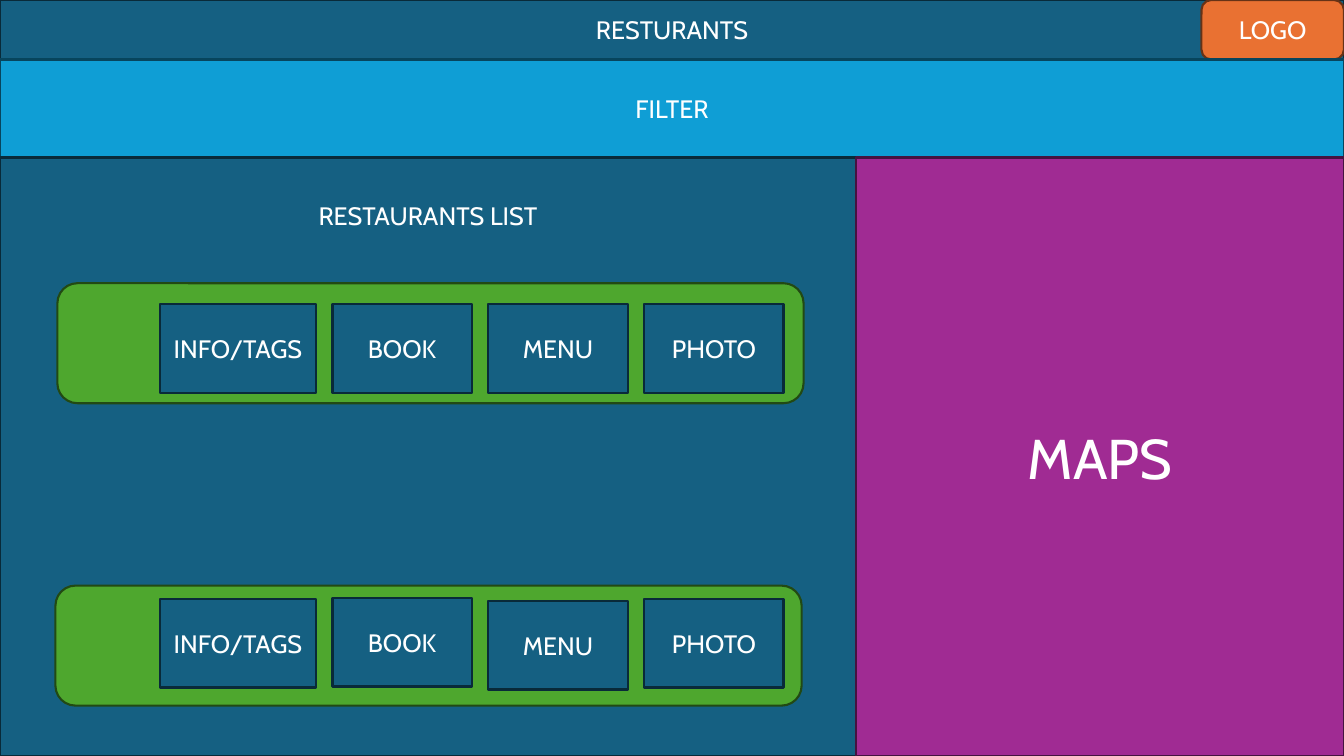
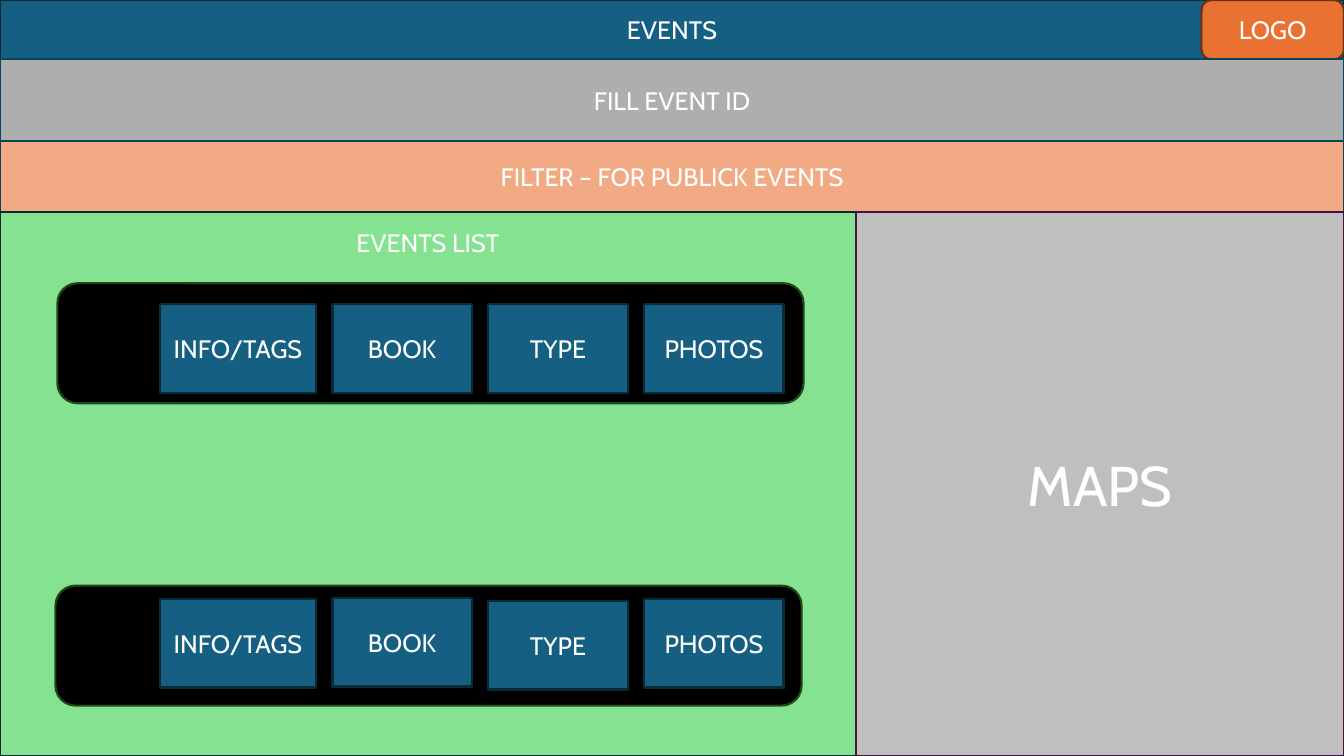
from dataclasses import dataclass

from pptx import Presentation
from pptx.dml.color import RGBColor
from pptx.enum.shapes import MSO_SHAPE as Shape
from pptx.enum.text import MSO_ANCHOR as Anchor, PP_ALIGN as Align
from pptx.util import Pt


@dataclass(frozen=True)
class Theme:
    font: str = "Cabin"
    text: str = "FFFFFF"
    body_size: int = 18
    map_size: int = 40
    line_width: float = 1.5
    blue: tuple = ("156082", "092A39")
    orange: tuple = ("E97132", "663216")
    band_line: str = "07455D"
    card_line: str = "224914"
    map_line: str = "461340"


@dataclass(frozen=True)
class Screen:
    title: str
    bands: tuple
    list_title: str
    list_inset: float
    list_fill: str
    card_fill: str
    map_fill: str
    buttons: tuple


THEME = Theme()
WIDTH, HEIGHT = 960, 540
HEADER_HEIGHT = 42.5
LOGO_WIDTH = 101.8
LIST_WIDTH = 611.3
CARD_SIZE = (533, 85.7)
CARDS = (
    {"left": 41, "top": 202.3, "button_tops": (217.4,) * 4},
    {"left": 39.6, "top": 418.3, "button_tops": (427.7, 427, 429.1, 427.7)},
)
BUTTON_LEFT, BUTTON_GAP, BUTTON_HEIGHT = 114.5, 12, 63.4
BUTTON_WIDTHS = (111, 99.4, 99.4, 99.4)

SCREENS = (
    Screen(
        title="RESTURANTS",
        bands=(("FILTER", 70, "0F9ED5"),),
        list_title="RESTAURANTS LIST",
        list_inset=30.3,
        list_fill="156082",
        card_fill="4EA72E",
        map_fill="A02B93",
        buttons=("INFO/TAGS", "BOOK", "MENU", "PHOTO"),
    ),
    Screen(
        title="EVENTS",
        bands=(
            ("FILL EVENT ID", 58.5, "AEAEAE"),
            ("FILTER – FOR PUBLICK EVENTS", 50.5, "F2AA84"),
        ),
        list_title="EVENTS LIST",
        list_inset=11,
        list_fill="84E291",
        card_fill="000000",
        map_fill="BFBFBF",
        buttons=("INFO/TAGS", "BOOK", "TYPE", "PHOTOS"),
    ),
)


def apply_format(target, values):
    for name, value in values.items():
        setattr(target, name, value)


def add_label(box, text, size, frame_format):
    frame = box.text_frame
    apply_format(frame, {"word_wrap": True, "vertical_anchor": Anchor.MIDDLE} | frame_format)
    para = frame.paragraphs[0]
    para.alignment = Align.CENTER
    span = para.add_run()
    span.text = text
    apply_format(span.font, {"name": THEME.font, "size": Pt(size)})
    span.font.color.rgb = RGBColor.from_string(THEME.text)


def add_box(page, area, colors, text="", size=THEME.body_size, kind=Shape.RECTANGLE, **frame_format):
    box = page.shapes.add_shape(kind, *map(Pt, area))
    fill, line = map(RGBColor.from_string, colors)
    box.shadow.inherit = False
    box.fill.solid()
    box.fill.fore_color.rgb = fill
    box.line.color.rgb = line
    box.line.width = Pt(THEME.line_width)
    if text:
        add_label(box, text, size, frame_format)


def add_header(page, title):
    add_box(page, (0, 0, WIDTH, HEADER_HEIGHT), THEME.blue, title)
    logo_area = (WIDTH - LOGO_WIDTH, 0, LOGO_WIDTH, HEADER_HEIGHT)
    add_box(page, logo_area, THEME.orange, "LOGO", kind=Shape.ROUNDED_RECTANGLE)


def add_bands(page, bands):
    top = HEADER_HEIGHT
    for text, height, fill in bands:
        add_box(page, (0, top, WIDTH, height), (fill, THEME.band_line), text)
        top += height
    return top


def add_card(page, card, fill, labels):
    area = (card["left"], card["top"], *CARD_SIZE)
    add_box(page, area, (fill, THEME.card_line), kind=Shape.ROUNDED_RECTANGLE)
    left = BUTTON_LEFT
    for label, width, top in zip(labels, BUTTON_WIDTHS, card["button_tops"]):
        add_box(page, (left, top, width, BUTTON_HEIGHT), THEME.blue, label)
        left += width + BUTTON_GAP


def add_screen(deck, screen):
    page = deck.slides.add_slide(deck.slide_layouts[6])
    add_header(page, screen.title)
    top = add_bands(page, screen.bands)
    add_box(
        page,
        (0, top, LIST_WIDTH, HEIGHT - top),
        (screen.list_fill, THEME.blue[1]),
        screen.list_title,
        vertical_anchor=Anchor.TOP,
        margin_top=Pt(screen.list_inset),
    )
    for card in CARDS:
        add_card(page, card, screen.card_fill, screen.buttons)
    map_area = (LIST_WIDTH, top, WIDTH - LIST_WIDTH, HEIGHT - top)
    add_box(page, map_area, (screen.map_fill, THEME.map_line), "MAPS", THEME.map_size)


def main():
    deck = Presentation()
    apply_format(deck, {"slide_width": Pt(WIDTH), "slide_height": Pt(HEIGHT)})
    for screen in SCREENS:
        add_screen(deck, screen)
    deck.save("out.pptx")


if __name__ == "__main__":
    main()
